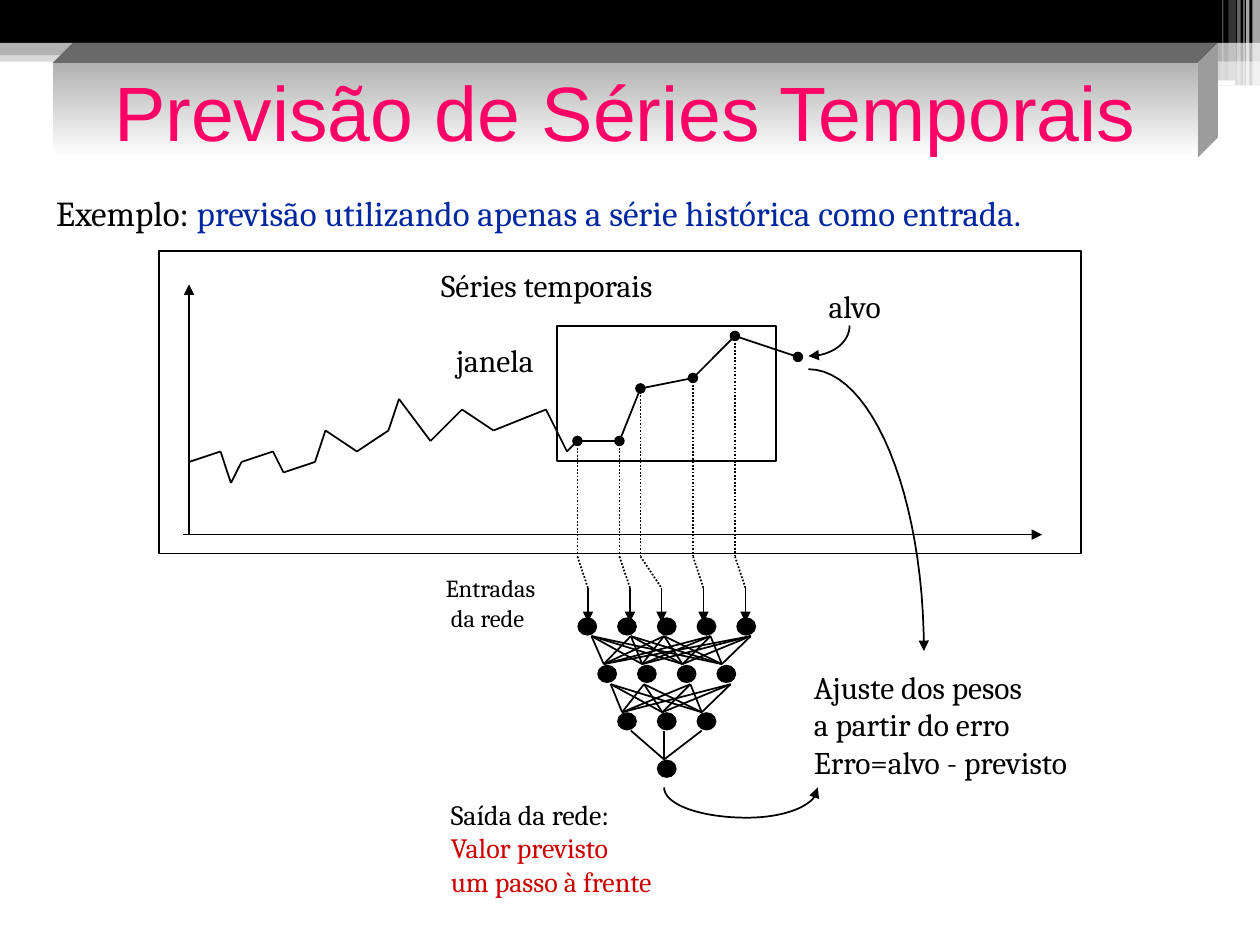
import itertools
from typing import NamedTuple

import lxml.etree
import pptx
import pptx.dml.color
import pptx.enum.shapes
import pptx.enum.text
import pptx.oxml.ns
import pptx.util

Pt = pptx.util.Pt
SHAPES = pptx.enum.shapes.MSO_SHAPE
Point = tuple[float, float]
BLACK, WHITE, GREY, BLUE = "000000", "FFFFFF", "B2B2B2", "00279F"


class Band(NamedTuple):
    """A strip of the page header; opacity is a percentage."""
    left: float
    top: float
    width: float
    height: float
    color: str
    opacity: int = 100
    kind: SHAPES = SHAPES.RECTANGLE


class Span(NamedTuple):
    """A piece of text in one format."""
    text: str
    size: float
    color: str = BLACK
    font: str = "Cambria"


class Label(NamedTuple):
    """A text box with one list of spans per paragraph."""
    left: float
    top: float
    width: float
    height: float
    paras: list[list[Span]]
    wrap: bool = False
    spacing: float = 1.0


BANDS = [
    Band(0, 28.8, 720, 6.5, GREY, 50),
    Band(0, 0, 720, 24.5, BLACK),
    Band(0, 24.5, 720, 7, GREY),
    Band(426, 28, 294, 7, GREY),
    Band(426, 34.6, 294, 14.2, GREY, 50),
    Band(425.5, 39, 241, 2, WHITE, kind=SHAPES.ROUNDED_RECTANGLE),
    Band(580, 46, 126, 2.6, WHITE, kind=SHAPES.ROUNDED_RECTANGLE),
    Band(715.6, 0, 4.4, 49, WHITE, 65),
    Band(712, 0, 2, 49, WHITE, 65),
    Band(710.5, 0, 0.7, 49, WHITE, 60),
    Band(707, 0, 2, 49, WHITE, 40),
    Band(702, 0, 4.3, 46, WHITE, 20),
    Band(698.4, 0, 0.7, 46, WHITE, 30),
]
SERIES = [
    (108, 264), (126, 258), (132, 276), (138, 264), (156, 258), (162, 270), (180, 264),
    (186, 246), (204, 258), (222, 246), (228, 228), (246, 252), (264, 234), (282, 246),
    (312, 234), (324, 258), (330, 252), (354, 252), (366, 222), (396, 216), (420, 192),
    (456, 204),
]
WINDOW_POINTS = SERIES[-6:-1]
INPUT_XS = [336, 360, 378, 402, 426]
LAYER_SIZES = [5, 4, 3, 1]
LINKS = [
    ([338, 360.5, 379.5, 406, 429], 363.5, [345, 367, 390, 412.5], 379.5),
    ([349, 368, 394.5, 417.5], 391, [355.5, 378.5, 401], 407),
    ([360.5, 379.5, 401], 417.5, [379.5], 434),
]
CURVES = [
    [(462, 211), (498, 211), (528, 283), (528, 372)],
    [(485.5, 186), (485.5, 196), (475, 203.5), (462, 203.5)],
    [(379.5, 450), (379.5, 460), (401, 467.3), (426.8, 467.3),
     (449, 467.3), (467.3, 460), (467.3, 450)],
]
LABELS = [
    Label(245, 148.5, 159, 29, [[Span("Séries temporais", 18)]]),
    Label(253.5, 191.5, 62, 29, [[Span("janela", 18)]]),
    Label(466.5, 160.5, 50.5, 29, [[Span("alvo", 18)]]),
    Label(458, 378, 183.5, 72, [[Span("Ajuste dos pesos", 18)], [Span("a partir do erro", 18)],
                                [Span("Erro=alvo - previsto", 18)]]),
    Label(247.5, 324, 74, 40.5, [[Span("Entradas", 14)], [Span(" da rede", 14)]]),
    Label(250.5, 452, 151, 65, [[Span("Saída da rede:", 16)],
                                [Span("Valor previsto", 16, "CC0000")],
                                [Span("um passo à frente", 16, "CC0000")]]),
    Label(18, 84.2, 678, 54, [[
        Span(" ", 28, BLUE, "Times New Roman"), Span("Exemplo:", 20),
        Span(" previsão utilizando apenas a série histórica como entrada.", 20, BLUE)]],
        True, 1.4),
]


def rgb(value: str) -> pptx.dml.color.RGBColor:
    """Turn a hex string into a colour."""
    return pptx.dml.color.RGBColor.from_string(value)


def add_tag(parent, name: str, **attributes: str):
    """Append a DrawingML element."""
    return lxml.etree.SubElement(parent, pptx.oxml.ns.qn(f"a:{name}"), attributes)


def style(shape, fill: str | None = None, line: str | None = None, opacity: int = 100):
    """Set the fill and outline of a shape and drop its shadow."""
    shape.shadow.inherit = False
    if fill:
        shape.fill.solid()
        shape.fill.fore_color.rgb = rgb(fill)
        if opacity < 100:
            color = shape.fill._xPr.find(".//" + pptx.oxml.ns.qn("a:srgbClr"))
            add_tag(color, "alpha", val=str(opacity * 1000))
    else:
        shape.fill.background()
    if line:
        shape.line.color.rgb = rgb(line)
        shape.line.width = Pt(1)
    else:
        shape.line.fill.background()


def add_box(page, kind, left: float, top: float, width: float, height: float):
    """Add a preset shape."""
    return page.shapes.add_shape(kind, Pt(left), Pt(top), Pt(width), Pt(height))


def add_dot(page, center: Point, width: float, height: float) -> None:
    """Add a black ellipse around a centre."""
    dot = add_box(page, SHAPES.OVAL, center[0] - width / 2, center[1] - height / 2, width, height)
    style(dot, BLACK, BLACK)


def add_line(page, start: Point, end: Point, arrow: bool = False, dotted: bool = False) -> None:
    """Add a straight black line."""
    line = page.shapes.add_connector(
        pptx.enum.shapes.MSO_CONNECTOR.STRAIGHT, *(Pt(value) for value in (*start, *end)))
    line.line.color.rgb = rgb(BLACK)
    line.line.width = Pt(1)
    outline = line.line._get_or_add_ln()
    if dotted:
        add_tag(outline, "prstDash", val="sysDot")
    if arrow:
        add_tag(outline, "tailEnd", type="triangle")
    add_tag(line._element.spPr, "effectLst")


def add_outline(page, points: list[Point], close: bool):
    """Add a freeform through the points."""
    corners = [(Pt(x), Pt(y)) for x, y in points]
    builder = page.shapes.build_freeform(*corners[0])
    builder.add_line_segments(corners[1:], close=close)
    return builder.convert_to_shape()


def add_curve(page, controls: list[Point], steps: int = 24) -> None:
    """Add a chain of cubic curves that ends in an arrowhead."""
    points = [controls[0]]
    for first in range(0, len(controls) - 1, 3):
        for step in range(1, steps + 1):
            t = step / steps
            weights = ((1 - t) ** 3, 3 * t * (1 - t) ** 2, 3 * t * t * (1 - t), t ** 3)
            points.append(tuple(
                sum(weight * control[axis] for weight, control in zip(weights, controls[first:]))
                for axis in (0, 1)))
    curve = add_outline(page, points, close=False)
    style(curve, line=BLACK)
    add_tag(curve.line._get_or_add_ln(), "tailEnd", type="triangle")


def add_label(page, label: Label) -> None:
    """Add a text box."""
    box = page.shapes.add_textbox(*(Pt(value) for value in label[:4]))
    frame = box.text_frame
    frame.word_wrap = label.wrap
    for index, spans in enumerate(label.paras):
        para = frame.paragraphs[0] if index == 0 else frame.add_paragraph()
        para.line_spacing = label.spacing
        for span in spans:
            run = para.add_run()
            run.text = span.text
            font = run.font if len(spans) > 1 else para.font
            font.name, font.size, font.color.rgb = span.font, Pt(span.size), rgb(span.color)


def add_title(page) -> None:
    """Add the title block with its two bevelled sides."""
    left, right, top, bottom, depth = 30.2, 684.5, 36, 90, 11.5
    far_right, far_top = right + depth, top - depth
    sides = [
        ("696969", [(left, top), (left + depth, far_top), (far_right, far_top), (right, top)]),
        ("9C9C9C", [(right, top), (far_right, far_top), (far_right, bottom - depth),
                    (right, bottom)]),
    ]
    for color, corners in sides:
        style(add_outline(page, corners, close=True), color)
    title = add_box(page, SHAPES.RECTANGLE, left, top, right - left, bottom - top)
    style(title)
    title.fill.gradient()
    title.fill.gradient_angle = 270
    for stop, color in zip(title.fill.gradient_stops, (GREY, WHITE)):
        stop.color.rgb = rgb(color)
    title.text_frame.vertical_anchor = pptx.enum.text.MSO_ANCHOR.MIDDLE
    para = title.text_frame.paragraphs[0]
    para.text = "Previsão de Séries Temporais"
    para.alignment = pptx.enum.text.PP_ALIGN.CENTER
    para.font.name, para.font.size, para.font.color.rgb = "Arial", Pt(44), rgb("FF0066")


def add_series(page) -> None:
    """Add the time series with its frame, axes and window."""
    for frame in ((90.7, 143.3, 527, 173), (318.2, 186.3, 125.3, 77)):
        style(add_box(page, SHAPES.RECTANGLE, *frame), line=BLACK)
    add_line(page, (108, 305.5), (108, 162.5), arrow=True)
    add_line(page, (104.5, 305.5), (595.5, 305.5), arrow=True)
    for start, end in itertools.pairwise(SERIES):
        add_line(page, start, end)
    for point in SERIES[-6:]:
        add_dot(page, point, 5, 5)


def add_network(page) -> None:
    """Add the network and the lines that feed it."""
    for (x, y), input_x in zip(WINDOW_POINTS, INPUT_XS):
        add_line(page, (x, y), (x, 318), dotted=True)
        add_line(page, (x, 318), (input_x, 336), dotted=True)
        add_line(page, (input_x, 336), (input_x, 355.5), arrow=True)
    for layer, size in enumerate(LAYER_SIZES):
        for index in range(size):
            center = (381 + 22.7 * (index - (size - 1) / 2), 358 + 27.1 * layer)
            add_dot(page, center, 10.3, 9.4)
    for starts, top, ends, bottom in LINKS:
        for start, end in itertools.product(starts, ends):
            add_line(page, (start, top), (end, bottom))


deck = pptx.Presentation()
deck.slide_width, deck.slide_height = Pt(720), Pt(540)
page = deck.slides.add_slide(deck.slide_layouts[6])
for band in BANDS:
    style(add_box(page, band.kind, *band[:4]), band.color, opacity=band.opacity)
add_series(page)
add_network(page)
for controls in CURVES:
    add_curve(page, controls)
for label in LABELS:
    add_label(page, label)
add_title(page)
deck.save("out.pptx")
